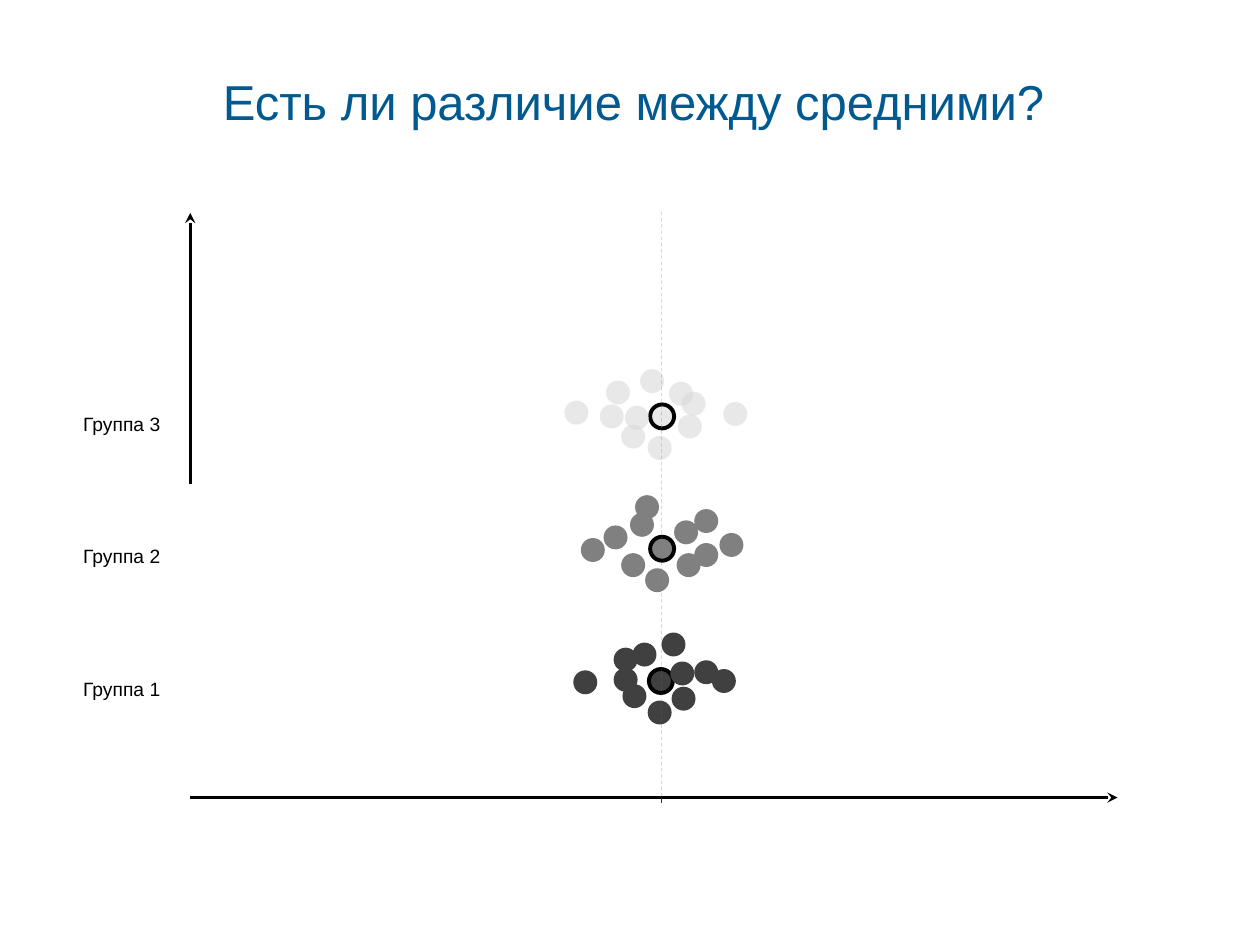
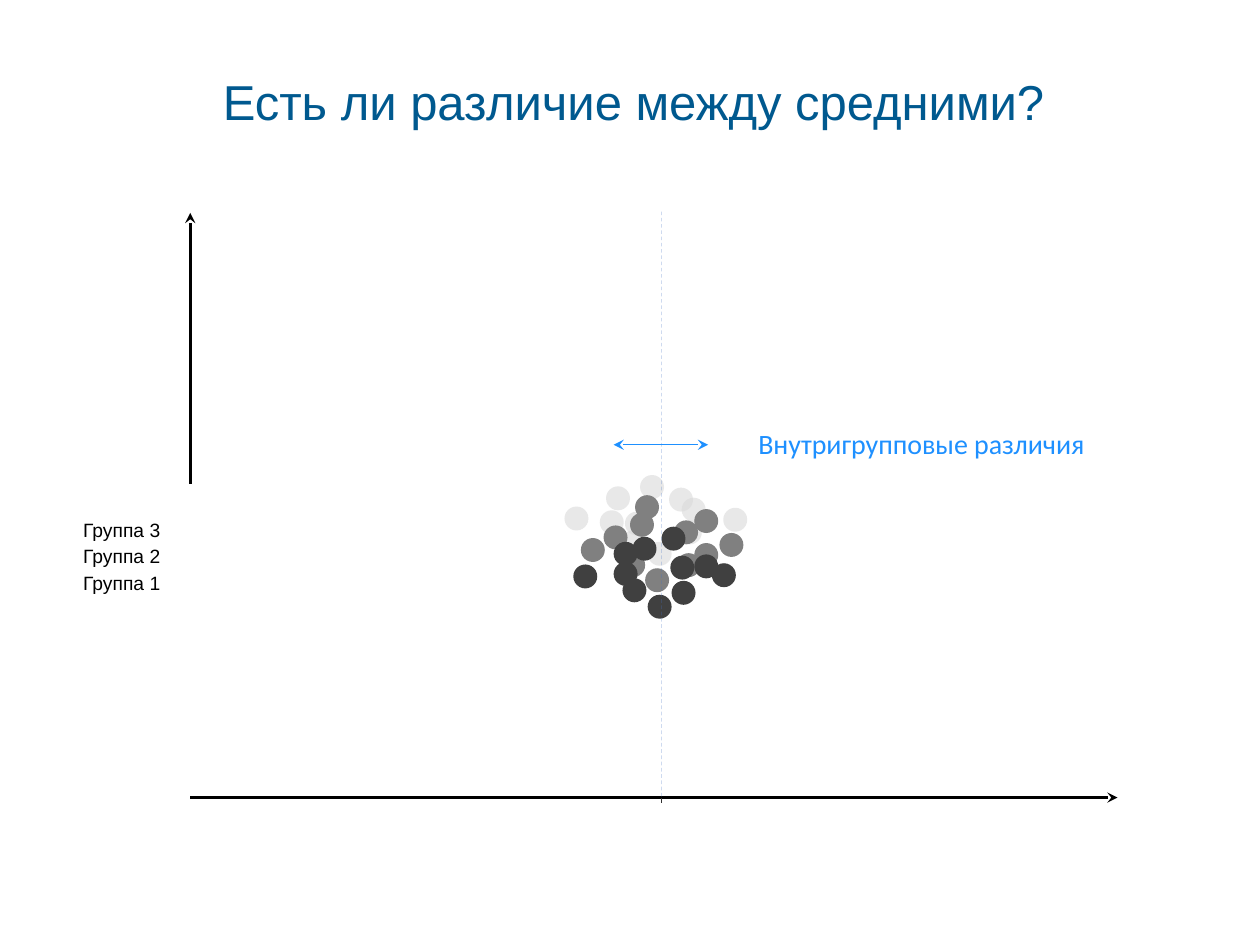
import pptx
import pptx.dml.color
import pptx.enum.shapes
import pptx.enum.text
import pptx.oxml.ns
import pptx.util
from lxml import etree
from pptx.util import Inches

BLACK = "000000"
TITLE_BLUE = "00598F"
NOTE_BLUE = "1E90FF"
MEAN_X = 5.25
DOT = 0.19
CLOUD_LEFT, CLOUD_HEIGHT = 4.48, 1.0
MIDDLE_Y = 4.43  # height of group 2, around which the groups are spread

# name, fill, opacity in %, mean and dots as (x, y) within the cloud box
GROUPS = [
    ("Группа 3", "D9D9D9", 60, (0.68, 0.33),
     [(0.93, 0.23), (0.28, 0.33), (0.66, 0.58), (0, 0.3), (0.45, 0.49), (0.48, 0.34),
      (0.83, 0.15), (1.26, 0.31), (0.6, 0.05), (0.33, 0.14), (0.9, 0.41)]),
    ("Группа 2", "808080", 100, (0.68, 0.33),
     [(0.64, 0.58), (0.45, 0.46), (0.89, 0.46), (0.56, 0), (0.31, 0.24), (0.13, 0.34),
      (1.03, 0.38), (1.03, 0.11), (1.23, 0.3), (0.52, 0.14), (0.87, 0.2)]),
    ("Группа 1", "404040", 100, (0.67, 0.33),
     [(0.85, 0.47), (0.39, 0.32), (1.17, 0.33), (0.54, 0.12), (0.07, 0.34), (0.66, 0.58),
      (0.39, 0.16), (0.84, 0.27), (1.03, 0.26), (0.46, 0.45), (0.77, 0.04)]),
]


def paint(color_format, color):
    color_format.rgb = pptx.dml.color.RGBColor.from_string(color)


def add_child(parent, tag, **attributes):
    return etree.SubElement(parent, pptx.oxml.ns.qn(tag), attributes)


def set_opacity(element, percent):
    """Make the solid fill below the element partly transparent."""
    if percent < 100:
        color = element.find(".//" + pptx.oxml.ns.qn("a:srgbClr"))
        add_child(color, "a:alpha", val=str(percent * 1000))


def add_line(slide, start, end, color, width, arrows=(), dash=None, opacity=100):
    line = slide.shapes.add_connector(
        pptx.enum.shapes.MSO_CONNECTOR.STRAIGHT, *map(Inches, start + end))
    paint(line.line.color, color)
    line.line.width = pptx.util.Pt(width)
    if dash:
        line.line.dash_style = dash
    ln = line.line._get_or_add_ln()
    set_opacity(ln, opacity)
    for end_name in arrows:
        add_child(ln, f"a:{end_name}", type="stealth")
    add_child(line._element.spPr, "a:effectLst")


def add_text(slide, box, text, size, color, font="Arial"):
    tb = slide.shapes.add_textbox(*map(Inches, box))
    tf = tb.text_frame
    tf.word_wrap = False
    tf.text = text
    r = tf.paragraphs[0].runs[0]
    r.font.size = pptx.util.Pt(size)
    r.font.name = font
    paint(r.font.color, color)
    return tf


def add_title(slide):
    add_text(slide, (1.67, 0.52, 6.8, 0.57), "Есть ли различие между средними?", 28, TITLE_BLUE)


def add_axes(slide, left, top, right, bottom):
    add_line(slide, (left, 3.84), (left, top), BLACK, 1.5, ["tailEnd"])
    add_line(slide, (left, bottom), (right, bottom), BLACK, 1.5, ["tailEnd"])
    add_line(slide, (MEAN_X, bottom + 0.04), (MEAN_X, bottom), "333333", 1.07)


def add_group_label(slide, name, center_y):
    height = 0.14
    tf = add_text(slide, (0.66, center_y - height / 2, 0.77, height), name, 11, BLACK)
    tf.margin_left = tf.margin_top = tf.margin_right = tf.margin_bottom = 0
    tf.vertical_anchor = pptx.enum.text.MSO_ANCHOR.MIDDLE
    tf.paragraphs[0].line_spacing = pptx.util.Pt(11)


def add_dot(slide, x, y, color, opacity, outlined=False):
    sp = slide.shapes.add_shape(
        pptx.enum.shapes.MSO_SHAPE.OVAL, *map(Inches, (x, y, DOT, DOT)))
    sp.shadow.inherit = False
    sp.fill.solid()
    paint(sp.fill.fore_color, color)
    set_opacity(sp._element.spPr, opacity)
    if outlined:
        paint(sp.line.color, BLACK)
        sp.line.width = pptx.util.Pt(2.25)
    else:
        sp.line.fill.background()


def add_cloud(slide, left, top, color, opacity, mean, dots, show_mean):
    if show_mean:
        add_dot(slide, left + mean[0], top + mean[1], color, opacity, outlined=True)
    for x, y in dots:
        add_dot(slide, left + x, top + y, color, opacity)


def add_spread_note(slide, left, y):
    """Double arrow for the spread within groups, with its caption."""
    add_line(slide, (left, y), (left + 0.75, y), NOTE_BLUE, 0.5, ["headEnd", "tailEnd"])
    add_text(slide, (left + 1.05, y - 0.19, 2.82, 0.37),
             "Внутригрупповые различия", 16, NOTE_BLUE, "Calibri")


def add_plot_slide(prs, group_step, show_means):
    slide = prs.slides.add_slide(prs.slide_layouts[6])
    add_axes(slide, 1.51, 1.69, 8.87, 6.33)
    for i, (name, color, opacity, mean, dots) in enumerate(GROUPS):
        center_y = MIDDLE_Y + (i - 1) * group_step
        add_group_label(slide, name, center_y)
        add_cloud(slide, CLOUD_LEFT, center_y - CLOUD_HEIGHT / 2,
                  color, opacity, mean, dots, show_means)
    add_title(slide)
    # Common mean
    add_line(slide, (MEAN_X, 1.68), (MEAN_X, 6.34), "4472C4", 0.5,
             dash=pptx.enum.dml.MSO_LINE.DASH, opacity=25)
    return slide


def main():
    prs = pptx.Presentation()
    prs.slide_width, prs.slide_height = Inches(10), Inches(7.5)
    # Separate groups with their means
    add_plot_slide(prs, group_step=1.05, show_means=True)
    # Groups moved together
    slide = add_plot_slide(prs, group_step=0.21, show_means=False)
    add_spread_note(slide, 4.87, 3.53)
    prs.save("out.pptx")


if __name__ == "__main__":
    main()
